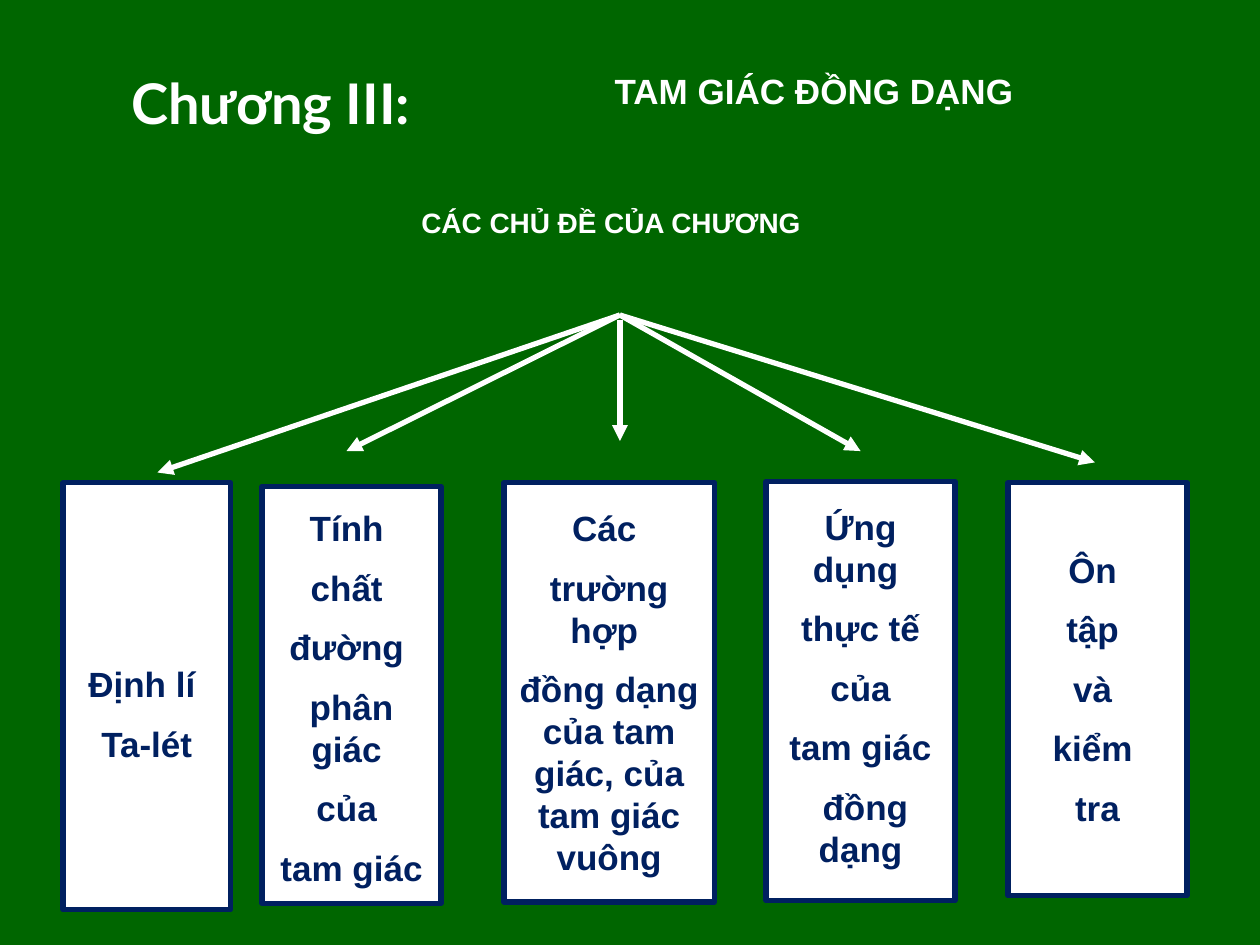
from lxml.etree import SubElement
from pptx import Presentation
from pptx.dml.color import RGBColor
from pptx.enum.shapes import MSO_CONNECTOR as CONNECTOR, MSO_SHAPE as SHAPE
from pptx.enum.text import MSO_ANCHOR as ANCHOR, MSO_AUTO_SIZE as AUTO_SIZE, PP_ALIGN as ALIGN
from pptx.oxml.ns import qn
from pptx.util import Inches, Pt

GREEN = RGBColor(0x00, 0x66, 0x00)
NAVY = RGBColor(0x00, 0x20, 0x60)
WHITE = RGBColor(0xFF, 0xFF, 0xFF)

# Box (left, top, width, height), space above the text, lines
TOPICS = [
    ((0.5, 3.83, 1.33, 3.39), 1.43, ["Định lí ", "Ta-lét"]),
    ((2.08, 3.86, 1.42, 3.31), 0.16,
     ["Tính ", "chất ", "đường ", "phân giác ", "của ", "tam giác"]),
    ((4, 3.83, 1.67, 3.33), 0.19,
     ["Các ", "trường hợp ", "đồng dạng của tam giác, của tam giác vuông"]),
    ((6.08, 3.82, 1.5, 3.33), 0.19,
     ["Ứng dụng ", "thực tế", " của ", "tam giác", " đồng dạng"]),
    ((8, 3.83, 1.42, 3.28), 0.52, ["Ôn ", "tập ", "và ", "kiểm ", "tra"]),
]
ARROWS = [  # start, end
    ((4.92, 2.5), (1.25, 3.75)),
    ((4.92, 2.5), (2.75, 3.58)),
    ((4.92, 2.54), (4.92, 3.5)),
    ((4.92, 2.5), (6.83, 3.58)),
    ((4.92, 2.5), (8.69, 3.67)),
]


def write_lines(frame, lines, size, color, font="Arial", top=0.05, wrap=True):
    frame_format = {
        "word_wrap": wrap, "auto_size": AUTO_SIZE.NONE, "vertical_anchor": ANCHOR.TOP,
        "margin_left": Inches(0.1), "margin_right": Inches(0.1),
        "margin_top": Inches(top), "margin_bottom": Inches(0.05),
    }
    for name, value in frame_format.items():
        setattr(frame, name, value)
    for number, line in enumerate(lines):
        paragraph = frame.paragraphs[0] if number == 0 else frame.add_paragraph()
        paragraph.alignment = ALIGN.CENTER
        paragraph.space_before = Pt(size / 2 if number else 0)
        run = paragraph.add_run()
        run.text = line
        for name, value in {"name": font, "size": Pt(size), "bold": True}.items():
            setattr(run.font, name, value)
        run.font.color.rgb = color


def add_chapter_title(slide, box):
    title = slide.shapes.title
    for name, value in zip(("left", "top", "width", "height"), box):
        setattr(title, name, Inches(value))
    write_lines(title.text_frame, ["Chương III:"], 32, WHITE, font="Lato")


def add_heading(slide, box, text, size):
    heading = slide.shapes.add_textbox(*map(Inches, box))
    write_lines(heading.text_frame, [text], size, WHITE, wrap=False)


def add_arrow(slide, start, end):
    arrow = slide.shapes.add_connector(CONNECTOR.STRAIGHT, *map(Inches, start + end))
    arrow.line.color.rgb = WHITE
    arrow.line.width = Pt(3)
    SubElement(arrow.line._get_or_add_ln(), qn("a:tailEnd"), type="triangle")
    SubElement(arrow._element.spPr, qn("a:effectLst"))


def add_topic(slide, box, top, lines):
    topic = slide.shapes.add_shape(SHAPE.RECTANGLE, *map(Inches, box))
    topic.shadow.inherit = False
    topic.fill.solid()
    topic.fill.fore_color.rgb = WHITE
    topic.line.color.rgb = NAVY
    topic.line.width = Pt(3)
    write_lines(topic.text_frame, lines, 20, NAVY, top=top)


def main():
    deck = Presentation()
    deck.slide_width, deck.slide_height = Inches(10), Inches(7.5)
    slide = deck.slides.add_slide(deck.slide_layouts[5])
    slide.background.fill.solid()
    slide.background.fill.fore_color.rgb = GREEN

    # Chapter headings
    add_chapter_title(slide, (0.55, 0.49, 3.2, 0.63))
    add_heading(slide, (3.75, 0.5, 5.42, 0.58), "TAM GIÁC ĐỒNG DẠNG", 20)
    add_heading(slide, (2.79, 1.58, 4.12, 0.5), "CÁC CHỦ ĐỀ CỦA CHƯƠNG", 16)

    # Arrows fanning out to the topics
    for start, end in ARROWS:
        add_arrow(slide, start, end)
    for box, top, lines in TOPICS:
        add_topic(slide, box, top, lines)

    deck.save("out.pptx")


if __name__ == "__main__":
    main()
